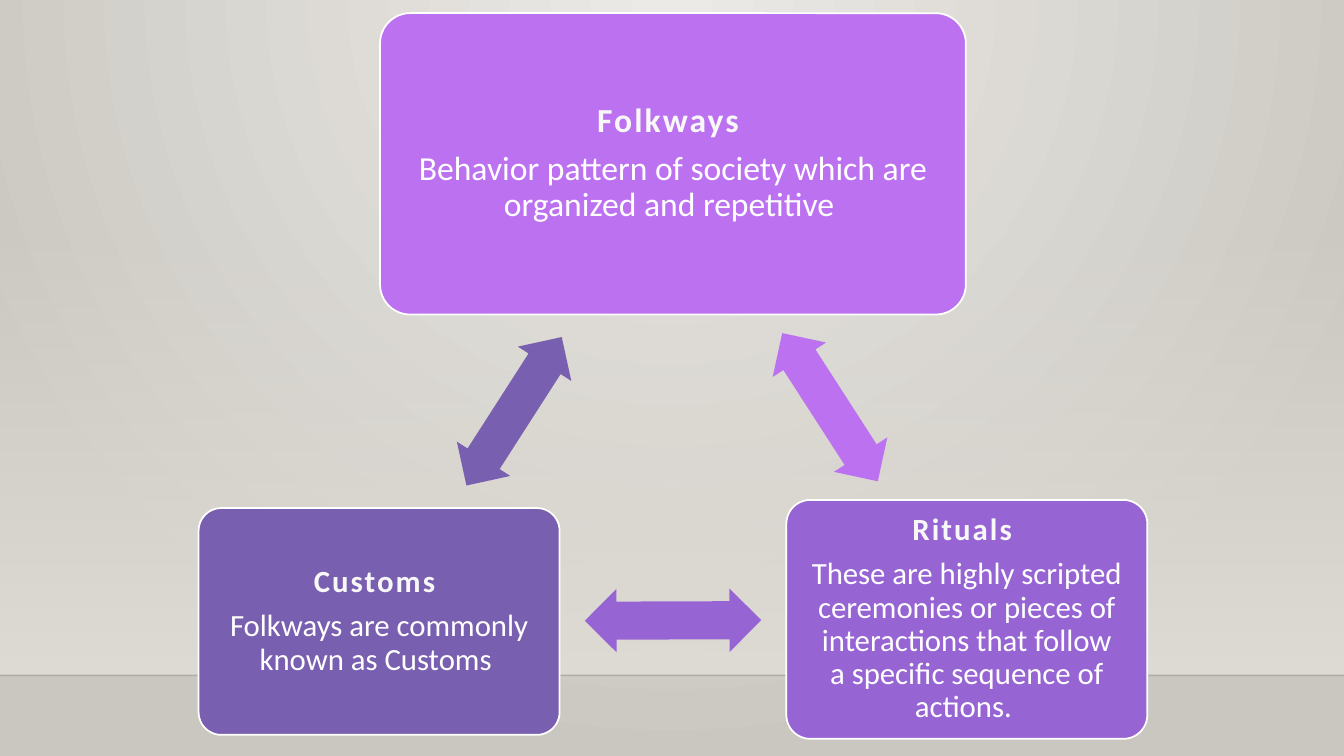
from itertools import combinations
from math import atan2, degrees

from lxml import etree
from pptx import Presentation
from pptx.dml.color import RGBColor
from pptx.enum.shapes import MSO_CONNECTOR, MSO_SHAPE
from pptx.enum.text import MSO_ANCHOR, PP_ALIGN
from pptx.oxml import parse_xml
from pptx.oxml.ns import qn
from pptx.util import Inches, Pt

ROUNDED, RECTANGLE = MSO_SHAPE.ROUNDED_RECTANGLE, MSO_SHAPE.RECTANGLE
DOUBLE_ARROW = MSO_SHAPE.LEFT_RIGHT_ARROW
STRAIGHT = MSO_CONNECTOR.STRAIGHT
CENTER, MIDDLE = PP_ALIGN.CENTER, MSO_ANCHOR.MIDDLE

# Boxes: centre x, centre y, width, height as percent of the slide.
NORMS = [
    dict(heading="Folkways ",
         body="Behavior pattern of society which are organized and repetitive ",
         place=(50.07, 21.67, 43.59, 39.87), color="BC72F0", size=24),
    dict(heading="Rituals ",
         body="These are highly scripted ceremonies or pieces of interactions "
              "that follow a specific sequence of actions. ",
         place=(71.94, 81.93, 26.86, 31.6), color="9764D4", size=22),
    dict(heading="Customs ",
         body="Folkways are commonly known as Customs ",
         place=(28.21, 82.2, 26.86, 30), color="795FAF", size=22),
]
THEME = dict(font="Calibri", heading="F8F8F8", body="FFFFFF", outline="FFFFFF",
             glow="ECEAE7", edge="CAC7C1", wall="DFDBD5", floor_line="000001")
SLIDE_W, SLIDE_H = 13.33, 7.5
WALL_TOP, FLOOR = 2.21, 6.7
ARROW_W, ARROW_H = 1.75, 0.63
INSET = 0.18


def rgb(value):
    return RGBColor.from_string(value)


def gradient(stops, direction):
    """Return a gradFill element; stops are (position, colour, alpha) in percent."""
    marks = "".join(
        f'<a:gs pos="{pos * 1000}"><a:srgbClr val="{color}">'
        f'<a:alpha val="{alpha * 1000}"/></a:srgbClr></a:gs>'
        for pos, color, alpha in stops)
    return parse_xml(
        '<a:gradFill xmlns:a="http://schemas.openxmlformats.org/drawingml/2006/main" '
        f'rotWithShape="1"><a:gsLst>{marks}</a:gsLst>{direction}</a:gradFill>')


def swap_solid_fill(properties, new_fill):
    properties.replace(properties.find(qn("a:solidFill")), new_fill)


def add_filled(slide, kind, place, color):
    shape = slide.shapes.add_shape(kind, *map(Inches, place))
    shape.shadow.inherit = False
    shape.fill.solid()
    shape.fill.fore_color.rgb = rgb(color)
    shape.line.fill.background()
    return shape


def add_backdrop(slide):
    slide.background.fill.solid()
    swap_solid_fill(
        slide.element.find(".//" + qn("p:bgPr")),
        gradient([(0, THEME["glow"], 100), (100, THEME["edge"], 100)],
                 '<a:path path="circle"><a:fillToRect l="43000" t="0" '
                 'r="43000" b="100000"/></a:path>'))

    wall = add_filled(slide, RECTANGLE, (0, WALL_TOP, SLIDE_W, FLOOR - WALL_TOP),
                      THEME["wall"])
    swap_solid_fill(
        wall._element.spPr,
        gradient([(0, THEME["wall"], 0), (100, THEME["wall"], 100)],
                 '<a:lin ang="5400000" scaled="0"/>'))

    floor_line = slide.shapes.add_connector(
        STRAIGHT, 0, Inches(FLOOR), Inches(SLIDE_W), Inches(FLOOR))
    floor_line.line.width = Pt(1)
    floor_line.line.color.rgb = rgb(THEME["floor_line"])
    properties = floor_line._element.spPr
    etree.SubElement(properties.find(".//" + qn("a:srgbClr")),
                     qn("a:alpha"), val="20000")
    etree.SubElement(properties, qn("a:effectLst"))


def box_of(norm):
    """Return centre x, centre y, width and height in inches."""
    return [share / 100 * length for share, length
            in zip(norm["place"], (SLIDE_W, SLIDE_H) * 2)]


def add_norm(slide, norm):
    x, y, w, h = box_of(norm)
    box = add_filled(slide, ROUNDED, (x - w / 2, y - h / 2, w, h), norm["color"])
    box.adjustments[0] = 0.1
    box.line.color.rgb = rgb(THEME["outline"])
    box.line.width = Pt(1.25)

    frame = box.text_frame
    frame.word_wrap = True
    frame.vertical_anchor = MIDDLE
    frame.margin_left = frame.margin_right = Inches(INSET)
    frame.margin_top = frame.margin_bottom = Inches(INSET)
    frame.add_paragraph()
    for part, paragraph in zip(("heading", "body"), frame.paragraphs):
        paragraph.alignment = CENTER
        paragraph.line_spacing = 0.9
        paragraph.space_after = Pt(0.35 * norm["size"])
        paragraph.font.name = THEME["font"]
        paragraph.font.size = Pt(norm["size"])
        paragraph.font.bold = part == "heading"
        paragraph.font.color.rgb = rgb(THEME[part])
        run = paragraph.add_run()
        run.text = norm[part]
        if part == "heading":
            run._r.get_or_add_rPr().set("spc", "150")


def add_link(slide, start, end, color):
    """Centre a double arrow in the gap on the line between two box centres."""
    (x1, y1, w1, h1), (x2, y2, w2, h2) = box_of(start), box_of(end)
    dx, dy = x2 - x1, y2 - y1
    leave, arrive = (min(w / 2 / abs(dx), h / 2 / abs(dy))
                     for w, h in ((w1, h1), (w2, h2)))
    middle = (leave + 1 - arrive) / 2
    x, y = x1 + dx * middle, y1 + dy * middle
    arrow = add_filled(slide, DOUBLE_ARROW,
                       (x - ARROW_W / 2, y - ARROW_H / 2, ARROW_W, ARROW_H), color)
    arrow.adjustments[0], arrow.adjustments[1] = 0.6, 0.5
    arrow.rotation = degrees(atan2(dy, dx)) % 360


def main():
    deck = Presentation()
    deck.slide_width, deck.slide_height = Inches(SLIDE_W), Inches(SLIDE_H)
    slide = deck.slides.add_slide(deck.slide_layouts[6])
    add_backdrop(slide)
    for norm in NORMS:
        add_norm(slide, norm)
    folkways, rituals, customs = NORMS
    for start, end in ((folkways, rituals), (rituals, customs), (customs, folkways)):
        add_link(slide, start, end, start["color"])
    deck.save("out.pptx")


if __name__ == "__main__":
    main()
